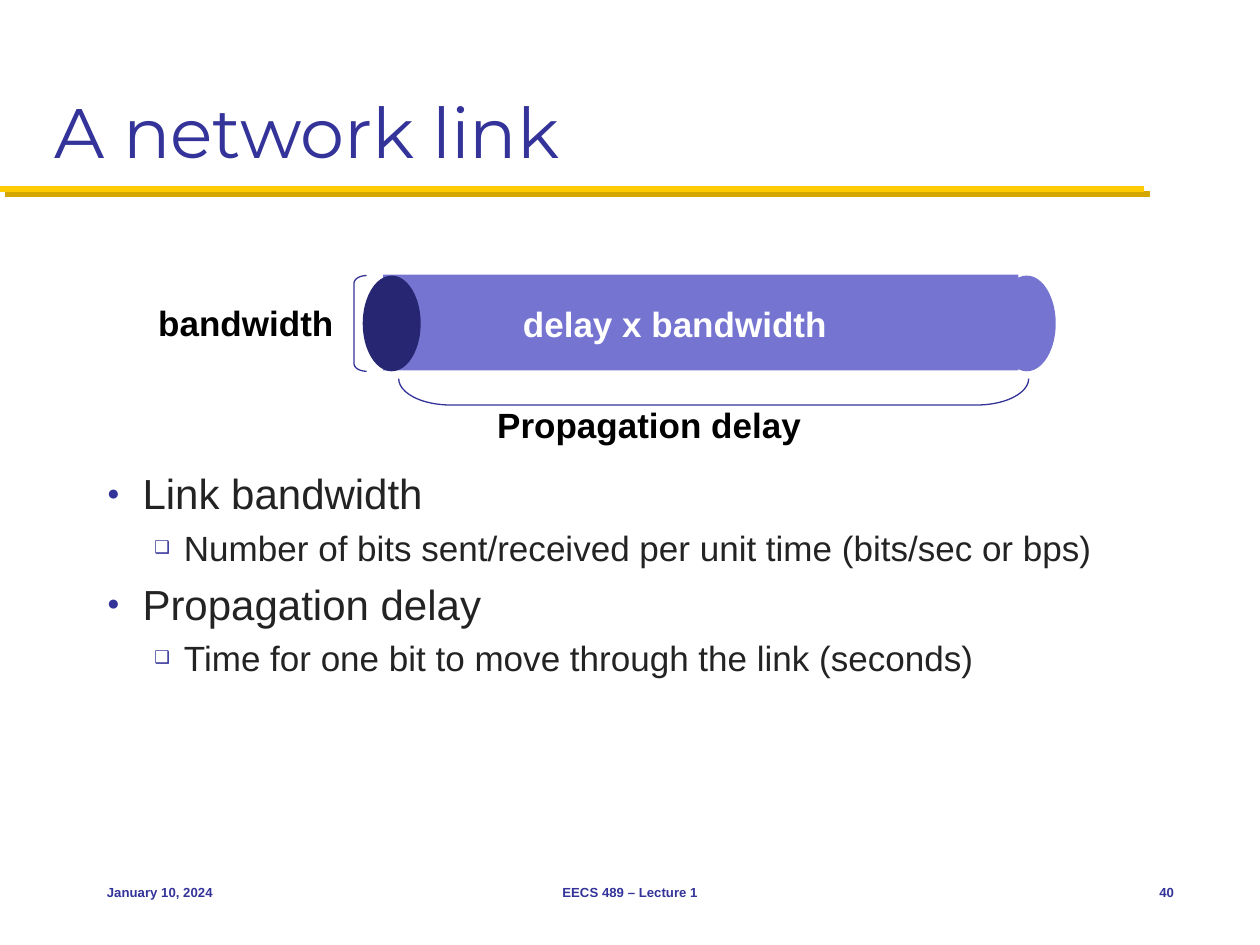
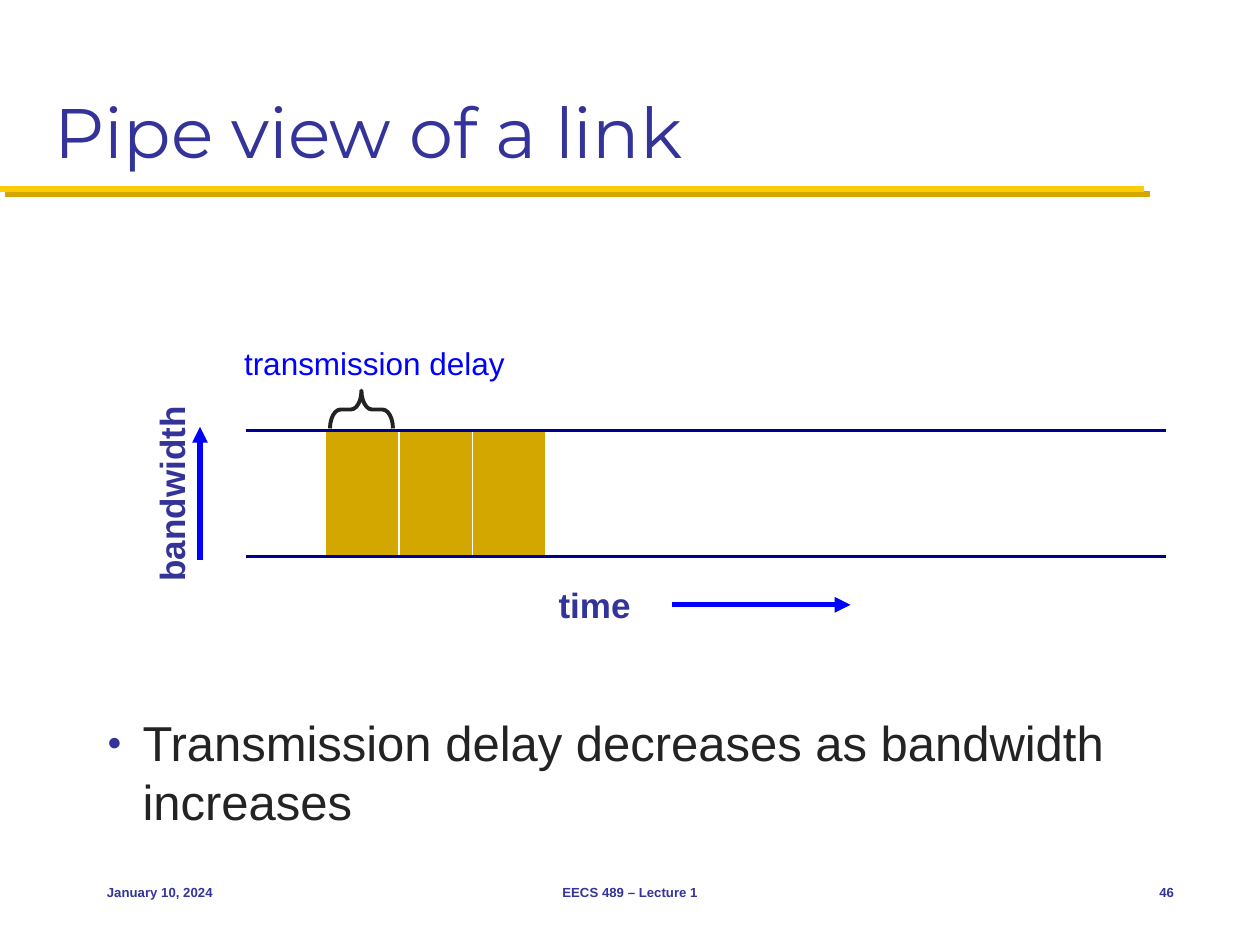
from lxml.etree import SubElement
from pptx import Presentation
from pptx.dml.color import RGBColor
from pptx.enum.shapes import MSO_CONNECTOR, MSO_SHAPE as Geo
from pptx.enum.text import MSO_ANCHOR as Anchor, MSO_AUTO_SIZE as Fit, PP_ALIGN as Align
from pptx.oxml.ns import qn
from pptx.util import Pt

HEX = {
    "navy": "333399", "ink": "232323", "black": "000000", "white": "FFFFFF",
    "gold": "FFCB05", "ochre": "D3A600", "pipe": "7575D1", "mouth": "262673",
    "rail": "000090", "blue": "0000FF",
}
SANS, HEAD = "Arial", "Montserrat"

# text, left, width, alignment; None stands for the slide number
FOOT = [
    ("January 10, 2024", 54, 150, Align.LEFT),
    ("EECS 489 – Lecture 1", 246, 228, Align.CENTER),
    (None, 630, 48, Align.RIGHT),
]
# bullet, left margin, hanging indent
LEVELS = [("●", 20.25, -20.25), ("❑", 43.9, -16.9)]
LEFT, WIDE, FLOOR = 54, 624, 474  # body frame

LINK = {
    "title": "A network link", "number": 40, "top": 263.8,
    "points": [
        (0, "Link bandwidth", 24),
        (1, "Number of bits sent/received per unit time (bits/sec or bps)", 20),
        (0, "Propagation delay", 24),
        (1, "Time for one bit to move through the link (seconds)", 20),
    ],
}
VIEW = {
    "title": "Pipe view of a link", "number": 46, "top": 403.6,
    "points": [(0, "Transmission delay decreases as bandwidth increases", 28)],
}


def color(name):
    return RGBColor.from_string(HEX[name])


def style(par, size, tint, face=SANS, bold=False):
    for run in par.runs:
        font = run.font
        font.name, font.size, font.bold = face, Pt(size), bold
        font.color.rgb = color(tint)


def place(shape, *box):
    shape.left, shape.top, shape.width, shape.height = map(Pt, box)


def write(slide, text, box, size, tint, align=Align.CENTER, bold=True):
    area = slide.shapes.add_textbox(*map(Pt, box))
    frame = area.text_frame
    frame.text = text
    frame.word_wrap = True
    par = frame.paragraphs[0]
    par.alignment = align
    style(par, size, tint, bold=bold)
    return area


def label(slide, text, mid, top, width, tint, size=20, bold=True, turn=0):
    """One unwrapped line of text, centred on mid."""
    area = write(slide, text, (mid - width / 2, top, width, 1.58 * size),
                 size, tint, bold=bold)
    area.text_frame.word_wrap = False
    area.text_frame.auto_size = Fit.SHAPE_TO_FIT_TEXT
    area.rotation = turn


def draw(slide, geo, box, fill=None, line=None, weight=0.75, turn=0, adj=()):
    shape = slide.shapes.add_shape(geo, *map(Pt, box))
    shape.shadow.inherit = False
    shape.rotation = turn
    for i, value in enumerate(adj):
        shape.adjustments[i] = value
    if fill:
        shape.fill.solid()
        shape.fill.fore_color.rgb = color(fill)
    else:
        shape.fill.background()
    if line:
        shape.line.color.rgb = color(line)
        shape.line.width = Pt(weight)
    else:
        shape.line.fill.background()


def rule(slide, ends, tint, weight, arrow=False, shade=None):
    line = slide.shapes.add_connector(MSO_CONNECTOR.STRAIGHT, *map(Pt, ends))
    line.line.color.rgb = color(tint)
    line.line.width = Pt(weight)
    if arrow:
        SubElement(line.line._get_or_add_ln(), qn("a:tailEnd"), type="triangle")
    effects = SubElement(line._element.spPr, qn("a:effectLst"))
    if shade:
        cast = SubElement(effects, qn("a:outerShdw"), dist=str(Pt(4.2)),
                          dir="2700000", algn="ctr", rotWithShape="0")
        SubElement(cast, qn("a:srgbClr"), val=HEX[shade])


def bullet(par, level):
    mark, margin, hang = LEVELS[level]
    par.level = level
    props = par._p.get_or_add_pPr()
    props.set("marL", str(Pt(margin)))
    props.set("indent", str(Pt(hang)))
    SubElement(SubElement(props, qn("a:buClr")), qn("a:srgbClr"), val=HEX["navy"])
    SubElement(props, qn("a:buSzPct"), val="50000")
    SubElement(props, qn("a:buFont"), typeface=SANS)
    SubElement(props, qn("a:buChar"), char=mark)


def start(deck, page):
    """Add a slide with its title, band, bullets and footers."""
    slide = deck.slides.add_slide(deck.slide_layouts[1])
    rule(slide, (0, 108, 654, 108), "gold", 3.5, shade="ochre")

    title = slide.shapes.title
    place(title, 24, 12, 672, 90)
    frame = title.text_frame
    frame.text = page["title"]
    frame.auto_size = Fit.NONE
    frame.vertical_anchor = Anchor.BOTTOM
    frame.paragraphs[0].alignment = Align.LEFT
    style(frame.paragraphs[0], 40, "navy", HEAD)

    body = slide.placeholders[1]
    place(body, LEFT, page["top"], WIDE, FLOOR - page["top"])
    frame = body.text_frame
    frame.auto_size = Fit.NONE
    for i, (level, text, size) in enumerate(page["points"]):
        par = frame.add_paragraph() if i else frame.paragraphs[0]
        par.text = text
        bullet(par, level)
        par.space_before = Pt(round(0.23 * size, 1) if i else 0)
        style(par, size, "ink")

    for text, left, width, align in FOOT:
        area = write(slide, text or str(page["number"]), (left, 492, width, 36),
                     7.5, "navy", align)
        area.text_frame.vertical_anchor = Anchor.MIDDLE
    return slide


def link(slide):
    top, high, cap = 157.5, 54.7, 33.1
    draw(slide, Geo.OVAL, (570.2, top, cap, high), "pipe")
    draw(slide, Geo.RECTANGLE, (219, top - 0.5, 363, high), "pipe")
    draw(slide, Geo.OVAL, (207.3, top, cap, high), "mouth")
    draw(slide, Geo.LEFT_BRACKET, (202.3, top, 7.2, high), line="navy", adj=[0.61])
    draw(slide, Geo.LEFT_BRACKET, (400.3, 43.9, 15.1, 360), line="navy",
         turn=270, adj=[1.98])
    label(slide, "bandwidth", 140.5, 168.5, 115, "black")
    label(slide, "Propagation delay", 371, 226.8, 189, "black")
    label(slide, "delay x bandwidth", 385.7, 169.2, 189, "white")


def view(slide):
    top, high, pace = 246, 72, 42
    for i in range(3):
        draw(slide, Geo.RECTANGLE, (186 + i * pace, top, pace, high), "ochre", "white")
    for y in (top, top + high):
        rule(slide, (140.4, y, 666, y), "rail", 2.25)
    label(slide, "time", 339.8, 330, 56, "navy")
    rule(slide, (384, 345.6, 486, 345.6), "blue", 3, arrow=True)
    label(slide, "bandwidth", 98, 266.4, 115, "navy", turn=270)
    rule(slide, (114.3, 320, 114.3, 244), "blue", 3, arrow=True)
    draw(slide, Geo.RIGHT_BRACE, (195.8, 216, 21.6, 36), line="ink", weight=2.25,
         turn=270, adj=[0.28, 0.5])
    label(slide, "transmission delay", 214, 193, 165, "blue", 18, bold=False)


def main():
    deck = Presentation()
    deck.slide_width, deck.slide_height = Pt(720), Pt(540)
    for page, paint in ((LINK, link), (VIEW, view)):
        paint(start(deck, page))
    deck.save("out.pptx")


if __name__ == "__main__":
    main()
